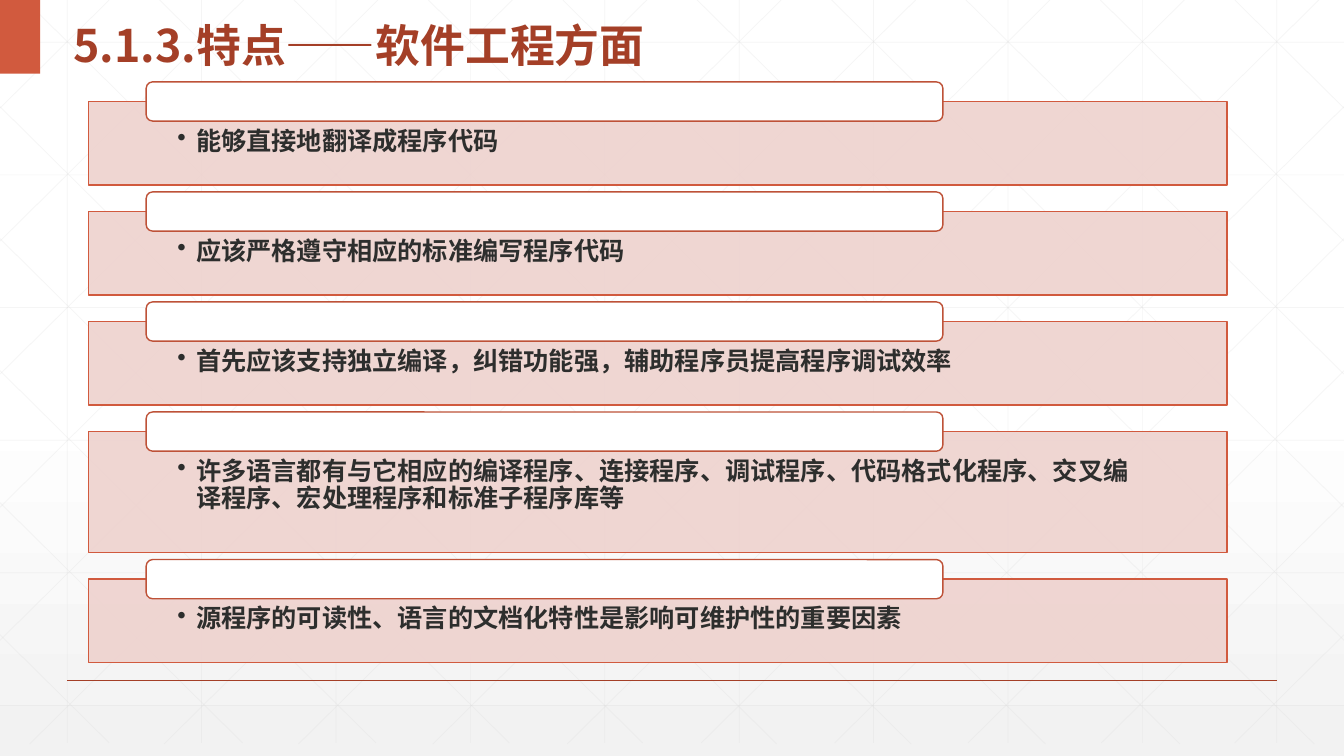
import lxml.etree
import pptx
import pptx.dml.color
import pptx.enum.dml
import pptx.enum.shapes
import pptx.enum.text
import pptx.oxml
import pptx.oxml.ns
import pptx.util

Pt = pptx.util.Pt
qn = pptx.oxml.ns.qn
SHAPES = pptx.enum.shapes.MSO_SHAPE
NS = 'xmlns:a="http://schemas.openxmlformats.org/drawingml/2006/main"'
WIDTH, HEIGHT = 960, 540
HAN_FONT = "Noto Sans CJK SC"
COLORS = {
    "white": "FFFFFF",
    "fade": "F2F2F2",
    "grid": "D9D9D9",
    "title": "A43F27",
    "accent": "D15A3E",
    "tab_line": "BE5238",
    "card": "EED2CE",
    "text": "2D2E2D",
}
FEATURES = [
    ("能够直接地翻译成程序代码", 59.8),
    ("应该严格遵守相应的标准编写程序代码", 59.8),
    ("首先应该支持独立编译，纠错功能强，辅助程序员提高程序调试效率", 59.8),
    ("许多语言都有与它相应的编译程序、连接程序、调试程序、代码格式化程序、"
     "交叉编译程序、宏处理程序和标准子程序库等", 86.6),
    ("源程序的可读性、语言的文档化特性是影响可维护性的重要因素", 59.8),
]


def rgb(name):
    """Return the named colour."""
    return pptx.dml.color.RGBColor.from_string(COLORS[name])


def set_alpha(fill_owner, percent):
    """Make the solid colour below an element partly transparent."""
    color = next(fill_owner.iter(qn("a:srgbClr")))
    lxml.etree.SubElement(color, qn("a:alpha")).set("val", str(percent * 1000))


def style_font(font, size, color):
    """Apply a bold Arial style."""
    font.name, font.size, font.bold = "Arial", Pt(size), True
    font.color.rgb = rgb(color)


def set_han_font(frame):
    """Give Chinese characters their typeface beside each Latin one."""
    for latin in list(frame._txBody.iter(qn("a:latin"))):
        latin.addnext(pptx.oxml.parse_xml(f'<a:ea {NS} typeface="{HAN_FONT}"/>'))


def add_line(slide, start, end, color, width, alpha=100):
    """Draw a straight line between two points."""
    line = slide.shapes.add_connector(
        pptx.enum.shapes.MSO_CONNECTOR.STRAIGHT, *map(Pt, (*start, *end)))
    line.line.color.rgb = rgb(color)
    line.line.width = Pt(width)
    properties = line._element.spPr
    if alpha < 100:
        set_alpha(properties, alpha)
    lxml.etree.SubElement(properties, qn("a:effectLst"))


def add_box(slide, kind, box, fill, line=None):
    """Draw a flat filled shape with an optional outline."""
    shape = slide.shapes.add_shape(kind, *map(Pt, box))
    shape.shadow.inherit = False
    shape.fill.solid()
    shape.fill.fore_color.rgb = rgb(fill)
    if line:
        shape.line.color.rgb = rgb(line)
        shape.line.width = Pt(1)
    else:
        shape.line.fill.background()
    return shape


def set_insets(frame, left, top, right, bottom):
    """Wrap a text frame and set its inner margins."""
    frame.word_wrap = True
    frame.margin_left, frame.margin_top = Pt(left), Pt(top)
    frame.margin_right, frame.margin_bottom = Pt(right), Pt(bottom)


def paint_background(slide):
    """Fade the background from white to light grey at the bottom."""
    fill = slide.background.fill
    fill.gradient()
    fill.gradient_angle = 270
    stops = next(slide.element.iter(qn("a:gsLst")))
    for stop in list(stops):
        stops.remove(stop)
    for position, color, alpha in ((0, "white", 100), (53, "white", 100), (100, "fade", 65)):
        stops.append(pptx.oxml.parse_xml(
            f'<a:gs {NS} pos="{position * 1000}"><a:srgbClr val="{COLORS[color]}">'
            f'<a:alpha val="{alpha * 1000}"/></a:srgbClr></a:gs>'))


def draw_grid(slide, width, height):
    """Draw the faint square grid with its mirrored diagonals."""
    segments = [((48 + 96 * i, 0), (48 + 96 * i, height)) for i in range(10)]
    segments += [((0, 30.2 + 94.75 * i), (width, 30.2 + 94.75 * i)) for i in range(6)]
    diagonals = []
    for i in range(10):
        start = 18 + 96 * i
        run = min(width - start, 536.8)
        diagonals.append(((start, 0), (start + run, run * 0.99)))
    for i in range(5):
        foot = 78 + 95.25 * i
        diagonals.append(((foot, height), (0, height - foot * 0.99)))
    for (x1, y1), (x2, y2) in diagonals:
        segments += [((x1, y1), (x2, y2)), ((width - x1, y1), (width - x2, y2))]
    for start, end in segments:
        add_line(slide, start, end, "grid", 0.5, 25)


def add_heading(slide, left, top, width, height):
    """Place the corner bar and the slide heading beside it."""
    add_box(slide, SHAPES.RECTANGLE, (left, top, 28.8, height), "accent")
    heading = slide.shapes.add_textbox(Pt(left + 45.2), Pt(top), Pt(width - 45.2), Pt(height))
    frame = heading.text_frame
    set_insets(frame, 7.2, 3.6, 7.2, 3.6)
    frame.vertical_anchor = pptx.enum.text.MSO_ANCHOR.MIDDLE
    paragraph = frame.paragraphs[0]
    paragraph.line_spacing = 1.3
    for text, typeface in (("5.1.3.", HAN_FONT), ("特点——软件工程方面", "Arial")):
        run = paragraph.add_run()
        run.text = text
        style_font(run.font, 32, "title")
        run.font.name = typeface
    set_han_font(frame)


def add_feature(slide, text, left, top, width, height):
    """Place one bulleted card with its blank tab on the upper edge."""
    card = add_box(slide, SHAPES.RECTANGLE, (left, top, width, height), "card", "accent")
    set_alpha(card._element.spPr.find(qn("a:solidFill")), 90)
    frame = card.text_frame
    set_insets(frame, 63.2, 19.4, 63.2, 9.9)
    frame.vertical_anchor = pptx.enum.text.MSO_ANCHOR.TOP
    paragraph = frame.paragraphs[0]
    paragraph.text = text
    paragraph.level = 1
    paragraph.alignment = pptx.enum.text.PP_ALIGN.LEFT
    paragraph.line_spacing = 0.9
    properties = paragraph._p.get_or_add_pPr()
    properties.set("marL", str(Pt(13.5)))
    properties.set("indent", str(Pt(-13.5)))
    lxml.etree.SubElement(properties, qn("a:buChar")).set("char", "•")
    style_font(paragraph.font, 18, "text")
    set_han_font(frame)
    add_box(slide, SHAPES.ROUNDED_RECTANGLE,
            (left + 41, top - 13.9, width * 0.7, 28), "white", "tab_line")


def add_features(slide, left, top, width, gap):
    """Stack the feature cards with equal gaps."""
    for text, height in FEATURES:
        add_feature(slide, text, left, top, width, height)
        top += height + gap


def main():
    """Build the slide and save it."""
    deck = pptx.Presentation()
    deck.slide_width, deck.slide_height = Pt(WIDTH), Pt(HEIGHT)
    slide = deck.slides.add_slide(deck.slide_layouts[6])
    paint_background(slide)
    draw_grid(slide, WIDTH, 530.6)
    add_line(slide, (48, 486), (912, 486), "title", 1)
    add_heading(slide, 0, 0, 697, 52.6)
    add_features(slide, 63.4, 72.4, 813, 18.8)
    deck.save("out.pptx")


if __name__ == "__main__":
    main()
